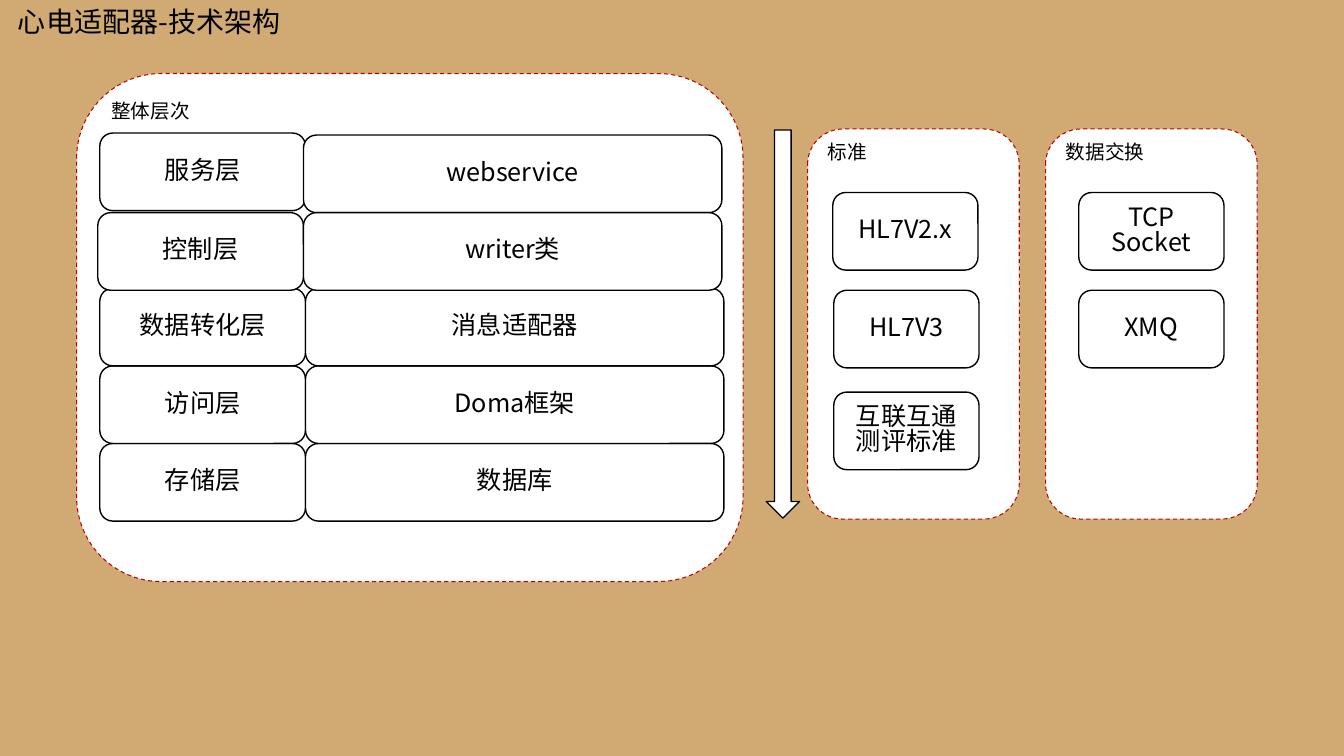
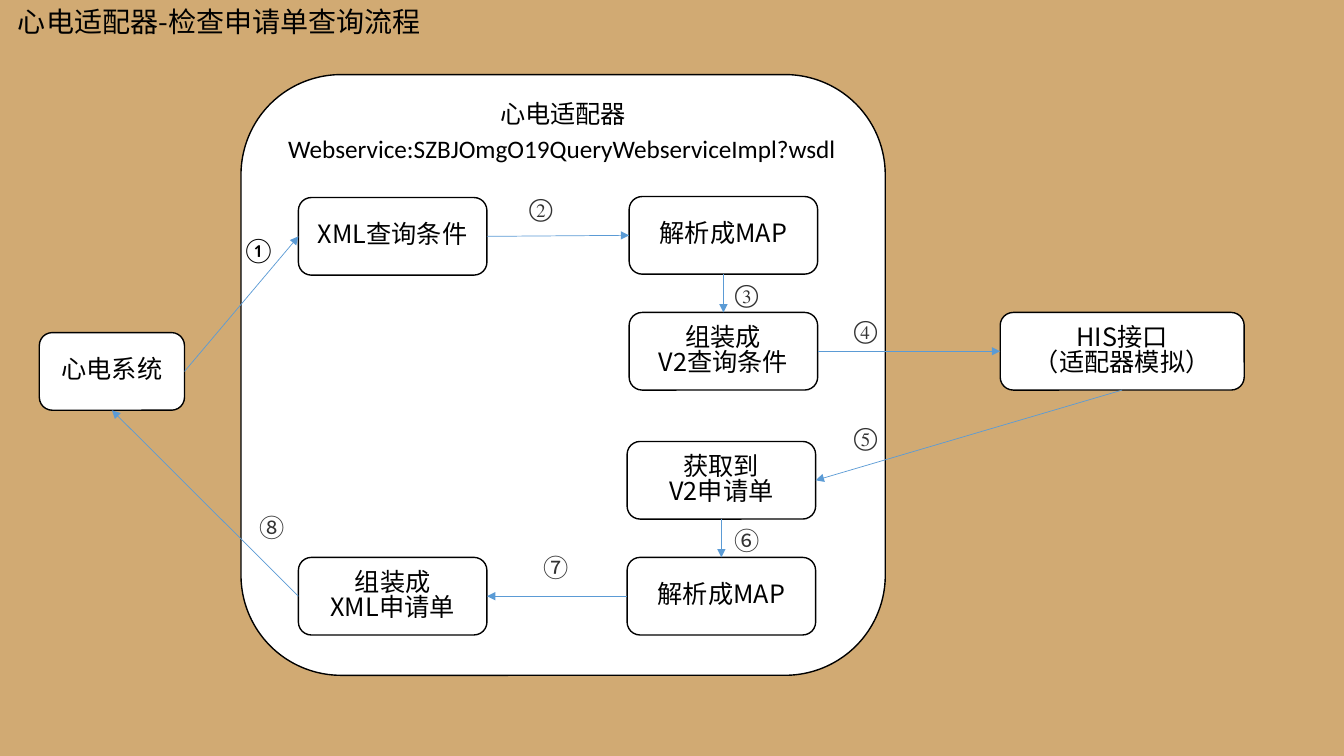
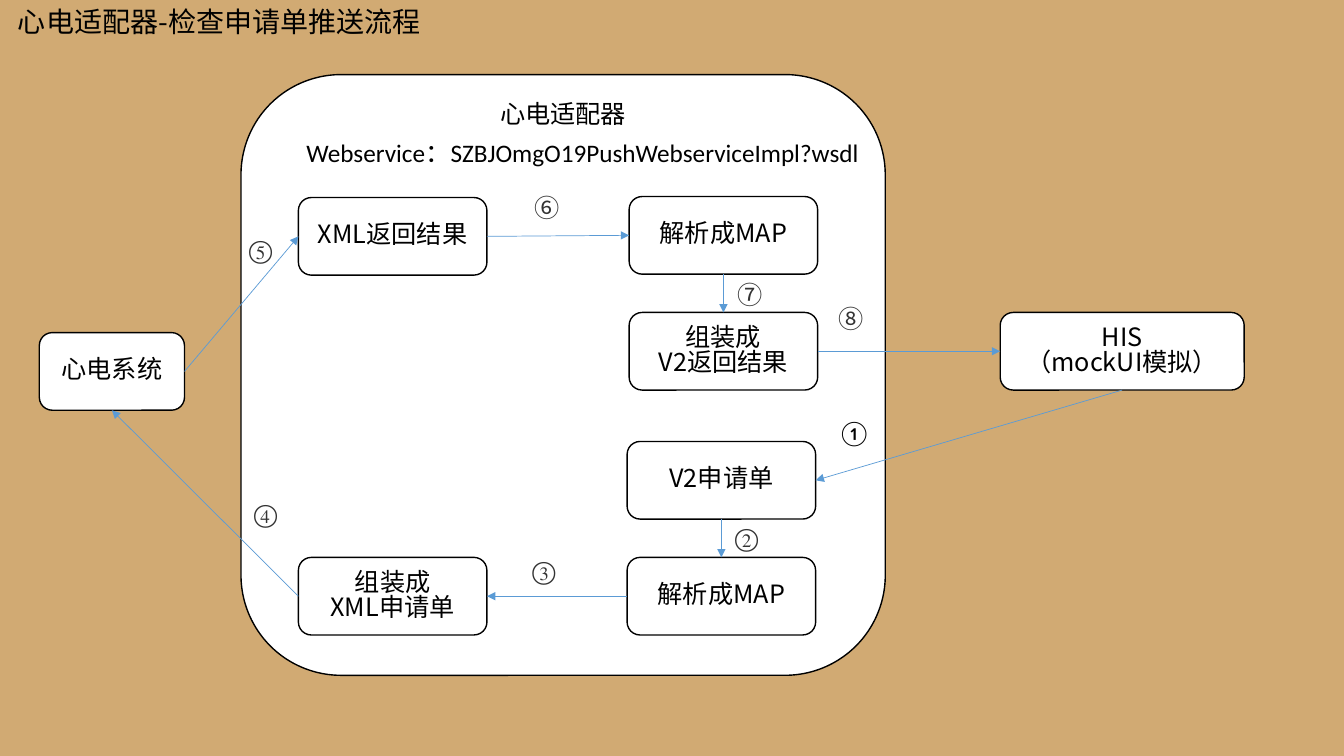
from typing import NamedTuple

from lxml.etree import SubElement
from pptx import Presentation
from pptx.dml.color import RGBColor
from pptx.enum.dml import MSO_LINE
from pptx.enum.shapes import MSO_CONNECTOR, MSO_SHAPE as Shape
from pptx.enum.text import MSO_ANCHOR as Anchor, PP_ALIGN as Align
from pptx.oxml.ns import qn
from pptx.util import Emu, Pt

PX = 9144
COLORS = {
    "background": "D1AA73",
    "surface": "FFFFFF",
    "ink": "000000",
    "step": "333333",
    "group": "C00000",
    "arrow": "5B9BD5",
}
CJK, LATIN, SERIF = "Noto Sans CJK SC", "Calibri", "Times New Roman"
BOX_H = 77
LINE_SPACING = 0.83
TOP, LEFT, BOTTOM, RIGHT = range(4)


class Rect(NamedTuple):
    x: int
    y: int
    w: int
    h: int = BOX_H


class Style(NamedTuple):
    size: int = 18
    font: str = CJK
    color: str = "ink"
    align: Align = Align.LEFT


class Layer(NamedTuple):
    name: str
    content: str
    name_at: tuple[int, int]
    content_at: tuple[int, int]


class Group(NamedTuple):
    title: str
    rect: Rect
    items: tuple[tuple[str, int, int], ...] = ()


class Link(NamedTuple):
    start: str
    start_side: int
    end: str
    end_side: int


class Step(NamedTuple):
    number: str
    x: int
    y: int


class Flow(NamedTuple):
    title: str
    service: str
    service_rect: Rect
    texts: dict[str, str]
    steps: tuple[Step, ...]


CENTERED = Style(align=Align.CENTER)
HEADING = Style(size=20)
GROUP_TITLE = Style(size=14)
SERVICE = Style(font=LATIN)

GROUPS = (
    Group("数据交换", Rect(1037, 128, 210, 387),
          (("TCP Socket", 1070, 191), ("XMQ", 1070, 288))),
    Group("标准", Rect(801, 128, 210, 387),
          (("HL7V2.x", 826, 191), ("HL7V3", 827, 288), ("互联互通测评标准", 827, 389))),
    Group("整体层次", Rect(76, 73, 661, 504)),
)
LAYERS = (
    Layer("存储层", "数据库", (99, 440), (303, 440)),
    Layer("访问层", "Doma框架", (99, 363), (303, 363)),
    Layer("数据转化层", "消息适配器", (99, 286), (303, 286)),
    Layer("服务层", "webservice", (99, 132), (301, 134)),
    Layer("控制层", "writer类", (97, 211), (301, 211)),
)

ADAPTER = Rect(239, 74, 639, 596)
NODES = {
    "system": Rect(39, 330, 144),
    "xml_in": Rect(296, 196, 187),
    "map_out": Rect(624, 195, 187),
    "v2_out": Rect(624, 310, 187),
    "his": Rect(992, 310, 242),
    "v2_in": Rect(622, 438, 187),
    "map_in": Rect(622, 553, 187),
    "xml_out": Rect(296, 553, 187),
}
LINKS = (
    Link("system", RIGHT, "xml_in", LEFT),
    Link("xml_in", RIGHT, "map_out", LEFT),
    Link("map_out", BOTTOM, "v2_out", TOP),
    Link("v2_out", RIGHT, "his", LEFT),
    Link("his", BOTTOM, "v2_in", RIGHT),
    Link("v2_in", BOTTOM, "map_in", TOP),
    Link("map_in", LEFT, "xml_out", RIGHT),
    Link("xml_out", LEFT, "system", BOTTOM),
)
COMMON_TEXTS = {
    "system": "心电系统",
    "map_out": "解析成MAP",
    "map_in": "解析成MAP",
    "xml_out": "组装成\nXML申请单",
}
FLOWS = (
    Flow(
        "心电适配器-检查申请单查询流程",
        "Webservice:SZBJOmgO19QueryWebserviceImpl?wsdl",
        Rect(276, 132, 569, 40),
        {
            "xml_in": "XML查询条件",
            "v2_out": "组装成\nV2查询条件",
            "his": "HIS接口\n（适配器模拟）",
            "v2_in": "获取到\nV2申请单",
        },
        (Step("①", 230, 233), Step("②", 515, 191), Step("③", 719, 276),
         Step("④", 837, 312), Step("⑤", 837, 418), Step("⑥", 719, 521),
         Step("⑦", 529, 548), Step("⑧", 248, 508)),
    ),
    Flow(
        "心电适配器-检查申请单推送流程",
        "Webservice：SZBJOmgO19PushWebserviceImpl?wsdl",
        Rect(294, 136, 574, 40),
        {
            "xml_in": "XML返回结果",
            "v2_out": "组装成\nV2返回结果",
            "his": "HIS\n（mockUI模拟）",
            "v2_in": "V2申请单",
        },
        (Step("①", 821, 414), Step("②", 719, 518), Step("③", 518, 551),
         Step("④", 242, 495), Step("⑤", 237, 233), Step("⑥", 520, 191),
         Step("⑦", 722, 277), Step("⑧", 822, 301)),
    ),
)


def rgb(name: str) -> RGBColor:
    return RGBColor.from_string(COLORS[name])


def emu(*lengths: int) -> list[Emu]:
    return [Emu(length * PX) for length in lengths]


def write(sp, text: str, style: Style, anchor: Anchor = Anchor.TOP) -> None:
    tf = sp.text_frame
    tf.word_wrap = True
    tf.vertical_anchor = anchor
    for i, line in enumerate(text.split("\n")):
        p = tf.add_paragraph() if i else tf.paragraphs[0]
        p.alignment = style.align
        p.line_spacing = LINE_SPACING
        r = p.add_run()
        r.text = line
        r.font.size = Pt(style.size)
        r.font.name = style.font
        r.font.color.rgb = rgb(style.color)
        SubElement(r.font._element, qn("a:ea"), typeface=style.font)


def add_text(s, text: str, rect: Rect, style: Style) -> None:
    write(s.shapes.add_textbox(*emu(*rect)), text, style)


def add_block(s, rect: Rect, kind: Shape = Shape.ROUNDED_RECTANGLE):
    sp = s.shapes.add_shape(kind, *emu(*rect))
    sp.shadow.inherit = False
    sp.fill.solid()
    sp.fill.fore_color.rgb = rgb("surface")
    sp.line.color.rgb = rgb("ink")
    sp.line.width = Pt(1)
    return sp


def add_box(s, text: str, rect: Rect):
    sp = add_block(s, rect)
    write(sp, text, CENTERED, Anchor.MIDDLE)
    return sp


def add_group(s, group: Group) -> None:
    sp = add_block(s, group.rect)
    sp.line.color.rgb = rgb("group")
    sp.line.width = Pt(0.75)
    sp.line.dash_style = MSO_LINE.DASH
    write(sp, group.title, GROUP_TITLE)


def add_arrow(s, link: Link, boxes: dict) -> None:
    c = s.shapes.add_connector(MSO_CONNECTOR.STRAIGHT, 0, 0, 0, 0)
    c.begin_connect(boxes[link.start], link.start_side)
    c.end_connect(boxes[link.end], link.end_side)
    c.line.color.rgb = rgb("arrow")
    c.line.width = Pt(0.5)
    SubElement(c.line._get_or_add_ln(), qn("a:tailEnd"), type="triangle")
    SubElement(c._element.spPr, qn("a:effectLst"))


def add_step(s, step: Step) -> None:
    if step.number == "①":
        style = Style(font=LATIN, align=Align.CENTER)
    else:
        style = Style(font=SERIF if step.number <= "⑤" else CJK, color="step")
    add_text(s, step.number, Rect(step.x, step.y, 45, 40), style)


def add_slide(prs, title: str, title_w: int):
    s = prs.slides.add_slide(prs.slide_layouts[6])
    add_text(s, title, Rect(8, 5, title_w, 44), HEADING)
    return s


def build_architecture(prs) -> None:
    s = add_slide(prs, "心电适配器-技术架构", 285)
    for group in GROUPS:
        add_group(s, group)
        for text, x, y in group.items:
            add_box(s, text, Rect(x, y, 144))
    for layer in LAYERS:
        add_box(s, layer.name, Rect(*layer.name_at, 204))
        add_box(s, layer.content, Rect(*layer.content_at, 415))
    add_block(s, Rect(760, 129, 33, 385), Shape.DOWN_ARROW)


def build_flow(prs, flow: Flow) -> None:
    s = add_slide(prs, flow.title, 425)
    adapter = add_block(s, ADAPTER)
    adapter.text_frame.margin_top = 0
    write(adapter, "心电适配器", CENTERED)
    add_text(s, flow.service, flow.service_rect, SERVICE)
    texts = COMMON_TEXTS | flow.texts
    boxes = {name: add_box(s, texts[name], rect) for name, rect in NODES.items()}
    for link in LINKS:
        add_arrow(s, link, boxes)
    for step in flow.steps:
        add_step(s, step)


def main() -> None:
    prs = Presentation()
    prs.slide_width, prs.slide_height = emu(1333, 750)
    fill = prs.slide_master.background.fill
    fill.solid()
    fill.fore_color.rgb = rgb("background")
    build_architecture(prs)
    for flow in FLOWS:
        build_flow(prs, flow)
    prs.save("out.pptx")


if __name__ == "__main__":
    main()
